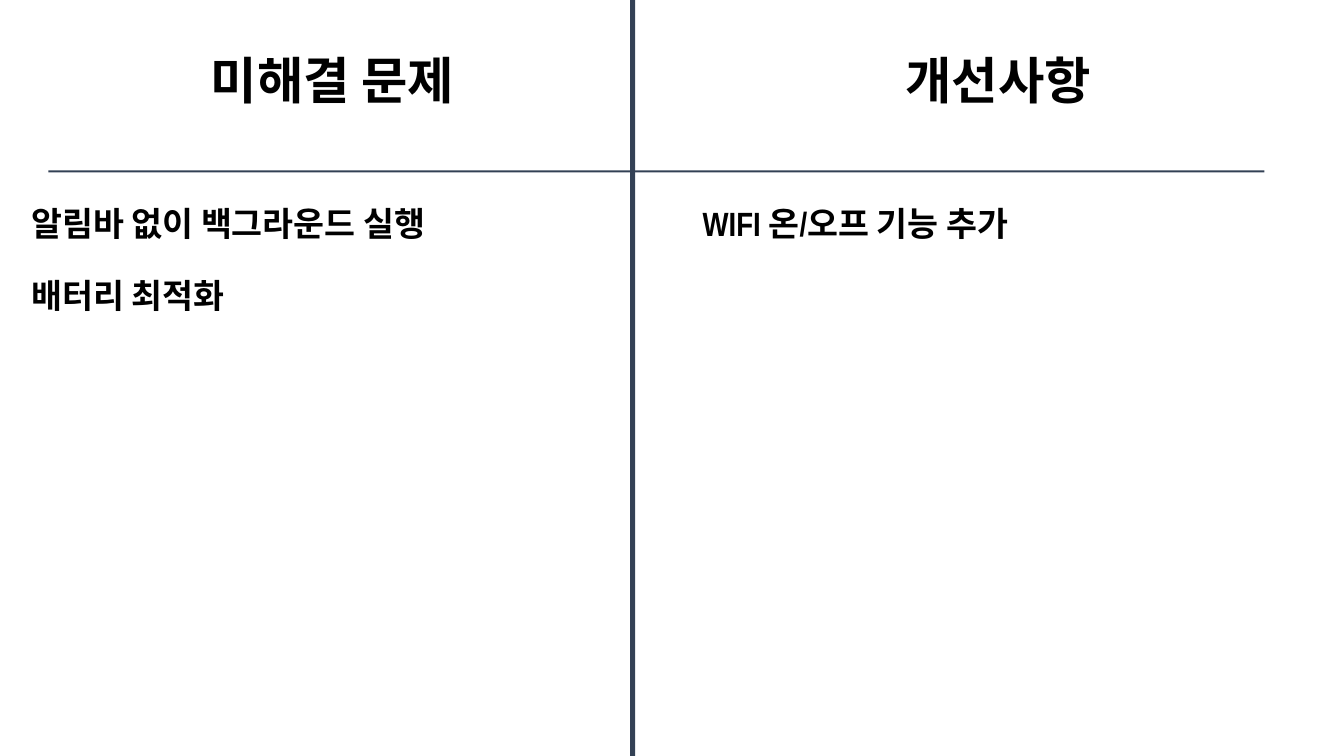
from pptx import Presentation
from pptx import util as u
from pptx.dml.color import RGBColor
from pptx.enum import shapes, text

FONT, INK, RULE = "Arial Narrow", "000000", "334155"

# heading, heading left, items, items left, items width
COLUMNS = [
    ("미해결 문제", 2.09, ["알림바 없이 백그라운드 실행", "배터리 최적화"], 0.31, 4.34),
    ("개선사항", 8.98, ["WIFI 온/오프 기능 추가"], 6.97, 3.47),
]
HEADING_TOP, HEADING_WIDTH, HEADING_HEIGHT = 0.49, 2.92, 0.61
ITEM_TOP, ITEM_HEIGHT, ITEM_STEP = 2.01, 0.4, 0.72

# left, top, width, height
DIVIDERS = [(6.25, 0, 0.05, 7.5), (0.48, 1.69, 12.06, 0.02)]


def color(hex_code):
    return RGBColor.from_string(hex_code)


def write(box, wording, size, left, top, width, height):
    """Place a text box or placeholder and fill it with one bold line."""
    box.left, box.top = u.Inches(left), u.Inches(top)
    box.width, box.height = u.Inches(width), u.Inches(height)
    frame = box.text_frame
    frame.margin_left = frame.margin_right = frame.margin_top = frame.margin_bottom = 0
    frame.word_wrap = True
    frame.auto_size = text.MSO_AUTO_SIZE.NONE
    frame.vertical_anchor = text.MSO_ANCHOR.TOP
    frame.text = wording
    line = frame.paragraphs[0]
    line.alignment = text.PP_ALIGN.LEFT
    line.font.name, line.font.size, line.font.bold = FONT, u.Pt(size), True
    line.font.color.rgb = color(INK)


def main():
    prs = Presentation()
    prs.slide_width, prs.slide_height = u.Inches(13.33), u.Inches(7.5)
    slide = prs.slides.add_slide(prs.slide_layouts[5])

    for divider in DIVIDERS:
        bar = slide.shapes.add_shape(shapes.MSO_SHAPE.RECTANGLE, *map(u.Inches, divider))
        bar.shadow.inherit = False
        bar.fill.solid()
        bar.fill.fore_color.rgb = color(RULE)
        bar.line.fill.background()

    for number, (heading, heading_left, items, item_left, item_width) in enumerate(COLUMNS):
        heading_box = slide.shapes.title if number == 0 else slide.shapes.add_textbox(0, 0, 0, 0)
        write(heading_box, heading, 36, heading_left, HEADING_TOP, HEADING_WIDTH, HEADING_HEIGHT)
        for row, item in enumerate(items):
            write(slide.shapes.add_textbox(0, 0, 0, 0), item, 24,
                  item_left, ITEM_TOP + row * ITEM_STEP, item_width, ITEM_HEIGHT)

    prs.save("out.pptx")


if __name__ == "__main__":
    main()
